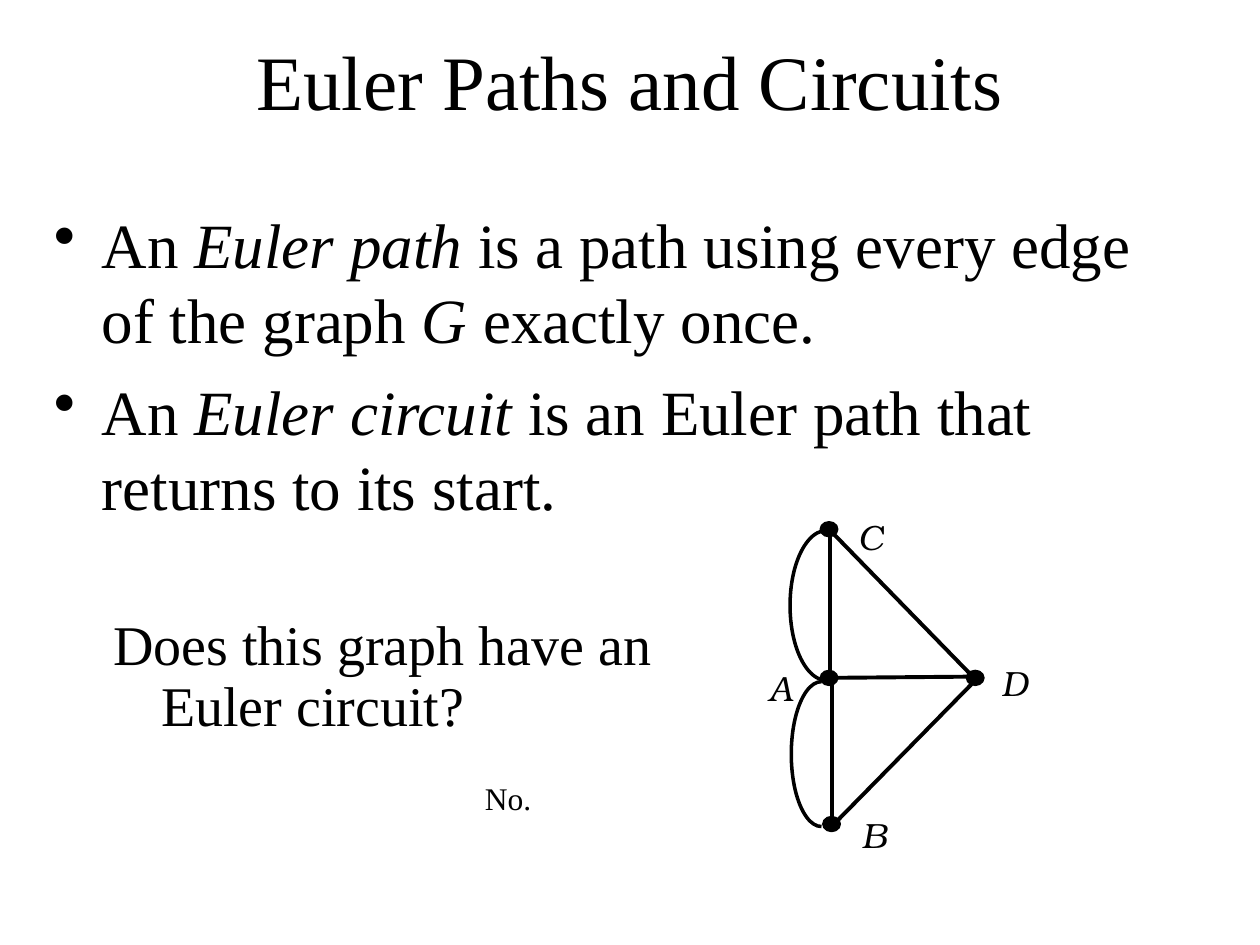
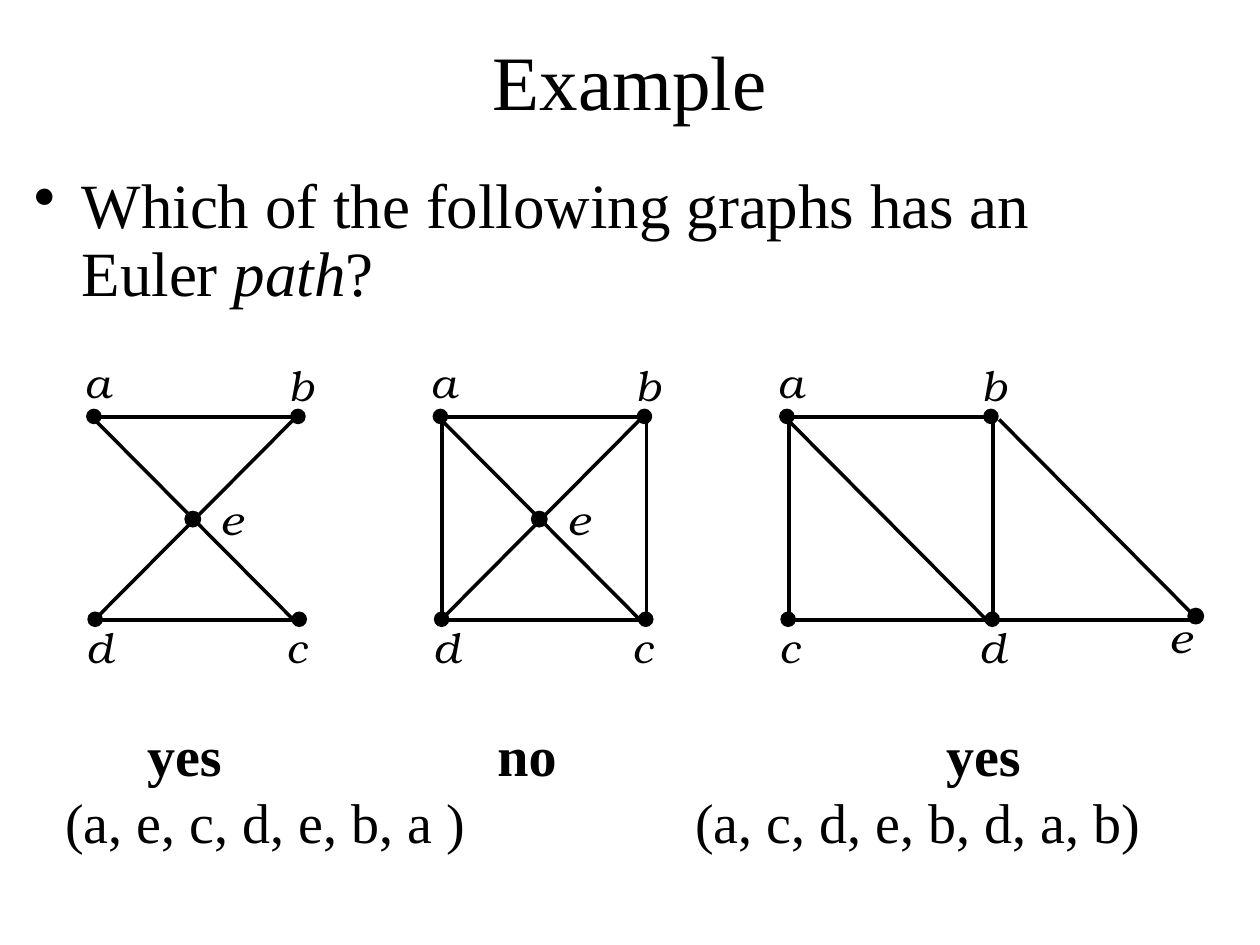
from lxml import etree
from pptx import Presentation
from pptx import util as u
from pptx.dml.color import RGBColor
from pptx.enum import shapes as kinds, text as t
from pptx.oxml import ns

BLACK = RGBColor(0, 0, 0)
SERIF = "Times New Roman"
LABEL_FONT = "TeX Gyre Bonum"
HANGING = 0.38
GRAPH_LEFT = 0.69
GRAPH_STEP = 2.75

EDGES = {
    "ab": (0.11, 3.31, 1.71, 3.31),
    "rising": (1.64, 3.33, 0.06, 4.92),
    "falling": (0.06, 3.33, 1.64, 4.92),
    "bottom": (0.08, 4.92, 1.69, 4.92),
    "left": (0.07, 3.32, 0.07, 4.92),
    "right": (1.69, 3.32, 1.69, 4.92),
    "b to far e": (1.74, 3.33, 3.32, 4.92),
    "d to far e": (1.72, 4.92, 3.32, 4.92),
}
CORNERS = [(0, 3.25), (1.62, 3.25), (0.01, 4.86), (1.63, 4.86)]
BOWTIE = ["ab", "rising", "falling", "bottom"]
MIDDLE_E = ((0.78, 4.06), (1.06, 3.92))
FAR_E = ((3.24, 4.83), (3.09, 4.85))
EXAMPLE_GRAPHS = [
    ("dc", BOWTIE, MIDDLE_E),
    ("dc", BOWTIE + ["left", "right"], MIDDLE_E),
    ("cd", ["ab", "falling", "bottom", "left", "right",
            "b to far e", "d to far e"], FAR_E),
]


def inches(*lengths):
    return [u.Inches(length) for length in lengths]


def add_text(shapes, box, paragraphs, size, font=SERIF, italic=False, inset=True):
    frame = shapes.add_textbox(*inches(*box)).text_frame
    frame.word_wrap = True
    if not inset:
        frame.margin_left = frame.margin_right = 0
        frame.margin_top = frame.margin_bottom = 0
    for index, marked in enumerate(paragraphs):
        paragraph = frame.paragraphs[0] if index == 0 else frame.add_paragraph()
        for part, words in enumerate(marked.split("*")):
            run = paragraph.add_run()
            run.text = words
            run.font.name = font
            run.font.size = u.Pt(size)
            run.font.color.rgb = BLACK
            run.font.italic = italic or part % 2 == 1
    return frame


def set_spacing(frame, before, lines=None):
    for paragraph in frame.paragraphs:
        paragraph.space_before = u.Pt(before)
        if lines:
            paragraph.line_spacing = lines


def set_hanging(frame, bullet=None):
    for paragraph in frame.paragraphs:
        props = paragraph._p.get_or_add_pPr()
        props.set("marL", str(u.Inches(HANGING)))
        props.set("indent", str(-u.Inches(HANGING)))
        if bullet:
            etree.SubElement(props, ns.qn("a:buChar")).set("char", bullet)


def set_tabs(paragraph, stops):
    tabs = etree.SubElement(paragraph._p.get_or_add_pPr(), ns.qn("a:tabLst"))
    for stop in stops:
        tab = etree.SubElement(tabs, ns.qn("a:tab"))
        tab.set("pos", str(u.Inches(stop)))
        tab.set("algn", "l")


def add_title(slide, words):
    frame = add_text(slide.shapes, (0.5, 0.17, 9, 0.92), [words], 44)
    frame.vertical_anchor = t.MSO_ANCHOR.MIDDLE
    frame.paragraphs[0].alignment = t.PP_ALIGN.CENTER


def add_bullets(slide, box, points, lines=None):
    frame = add_text(slide.shapes, box, points, 36)
    set_spacing(frame, 9, lines)
    set_hanging(frame, "•")


def add_edge(shapes, ends, width):
    edge = shapes.add_connector(kinds.MSO_CONNECTOR.STRAIGHT, *inches(*ends))
    edge.line.color.rgb = BLACK
    edge.line.width = u.Pt(width)
    etree.SubElement(edge._element.spPr, ns.qn("a:effectLst"))


def add_vertex(shapes, left, top, width, height, outline):
    vertex = shapes.add_shape(kinds.MSO_SHAPE.OVAL, *inches(left, top, width, height))
    vertex.shadow.inherit = False
    vertex.fill.solid()
    vertex.fill.fore_color.rgb = BLACK
    vertex.line.color.rgb = BLACK
    vertex.line.width = u.Pt(outline)


def add_left_arc(shapes, ellipse):
    arc = shapes.add_shape(kinds.MSO_SHAPE.ARC, *inches(*ellipse))
    arc.shadow.inherit = False
    arc.adjustments[0] = 54
    arc.adjustments[1] = 162
    arc.fill.background()
    arc.line.color.rgb = BLACK
    arc.line.width = u.Pt(2)


def add_label(shapes, letter, box, size, before, inset):
    frame = add_text(shapes, box, [letter], size, LABEL_FONT, True, inset)
    set_spacing(frame, before)


def add_bridge_graph(slide):
    shapes = slide.shapes.add_group_shape().shapes
    for ends in [(6.57, 4.19, 7.73, 5.38), (6.58, 5.38, 7.76, 5.37),
                 (6.6, 6.53, 6.6, 5.37), (6.59, 5.34, 6.59, 4.18),
                 (7.76, 5.38, 6.62, 6.54)]:
        add_edge(shapes, ends, 2.25)
    for left, top in [(6.51, 4.14), (6.51, 5.32), (7.67, 5.32), (6.53, 6.48)]:
        add_vertex(shapes, left, top, 0.14, 0.12, 0.75)
    for ellipse in [(6.27, 4.21, 0.58, 1.19), (6.28, 5.41, 0.48, 1.15)]:
        add_left_arc(shapes, ellipse)
    for letter, left, top in [("A", 6, 5.24), ("B", 6.74, 6.41),
                              ("C", 6.71, 4.04), ("D", 7.85, 5.2)]:
        add_label(shapes, letter, (left, top, 0.4, 0.44), 20, 12.5, True)


def add_example_graph(slide, left, bottom_letters, edges, e_places):
    shapes = slide.shapes.add_group_shape().shapes
    for name in edges:
        x1, y1, x2, y2 = EDGES[name]
        add_edge(shapes, (left + x1, y1, left + x2, y2), 2)
    for x, y in CORNERS:
        add_vertex(shapes, left + x, y, 0.11, 0.11, 1)
    (e_x, e_y), e_label = e_places
    add_vertex(shapes, left + e_x, e_y, 0.12, 0.12, 1)
    label_places = [(-0.02, 2.83), (1.6, 2.85), (0, 4.93), (1.58, 4.93), e_label]
    for letter, (x, y) in zip("ab" + bottom_letters + "e", label_places):
        add_label(shapes, letter, (left + x, y, 0.32, 0.4), 24, 15, False)


def add_answers(slide):
    frame = add_text(slide.shapes, (0.42, 5.67, 9.17, 1.17),
                     ["\tyes\tno\tyes",
                      "(a, e, c, d, e, b, a )\t(a, c, d, e, b, d, a, b)"], 32)
    verdicts, routes = frame.paragraphs
    set_tabs(verdicts, [0.65, 3.43, 6.99])
    set_tabs(routes, [5])
    for run in verdicts.runs:
        run.font.bold = True


def build_definitions(slide):
    add_title(slide, "Euler Paths and Circuits")
    add_bullets(slide, (0.33, 1.58, 9, 2.75), [
        "An *Euler path* is a path using every edge of the graph *G* exactly once.",
        "An *Euler circuit* is an Euler path that returns to its start.",
    ])
    add_bridge_graph(slide)
    for box, words, size, before in [
        ((0.8, 4.85, 4.79, 0.67), "Does this graph have an Euler circuit?", 32, 8),
        ((3.75, 6.17, 0.57, 0.37), "No.", 18, 4.5),
    ]:
        frame = add_text(slide.shapes, box, [words], size)
        set_spacing(frame, before, 0.9)
        set_hanging(frame)


def build_example(slide):
    add_title(slide, "Example")
    add_bullets(slide, (0.17, 1.33, 9, 1.19),
                ["Which of the following graphs has an Euler *path*?"], 0.9)
    for index, graph in enumerate(EXAMPLE_GRAPHS):
        add_example_graph(slide, GRAPH_LEFT + index * GRAPH_STEP, *graph)
    add_answers(slide)


def main():
    deck = Presentation()
    deck.slide_width, deck.slide_height = inches(10, 7.5)
    for build in (build_definitions, build_example):
        build(deck.slides.add_slide(deck.slide_layouts[6]))
    deck.save("out.pptx")


if __name__ == "__main__":
    main()
